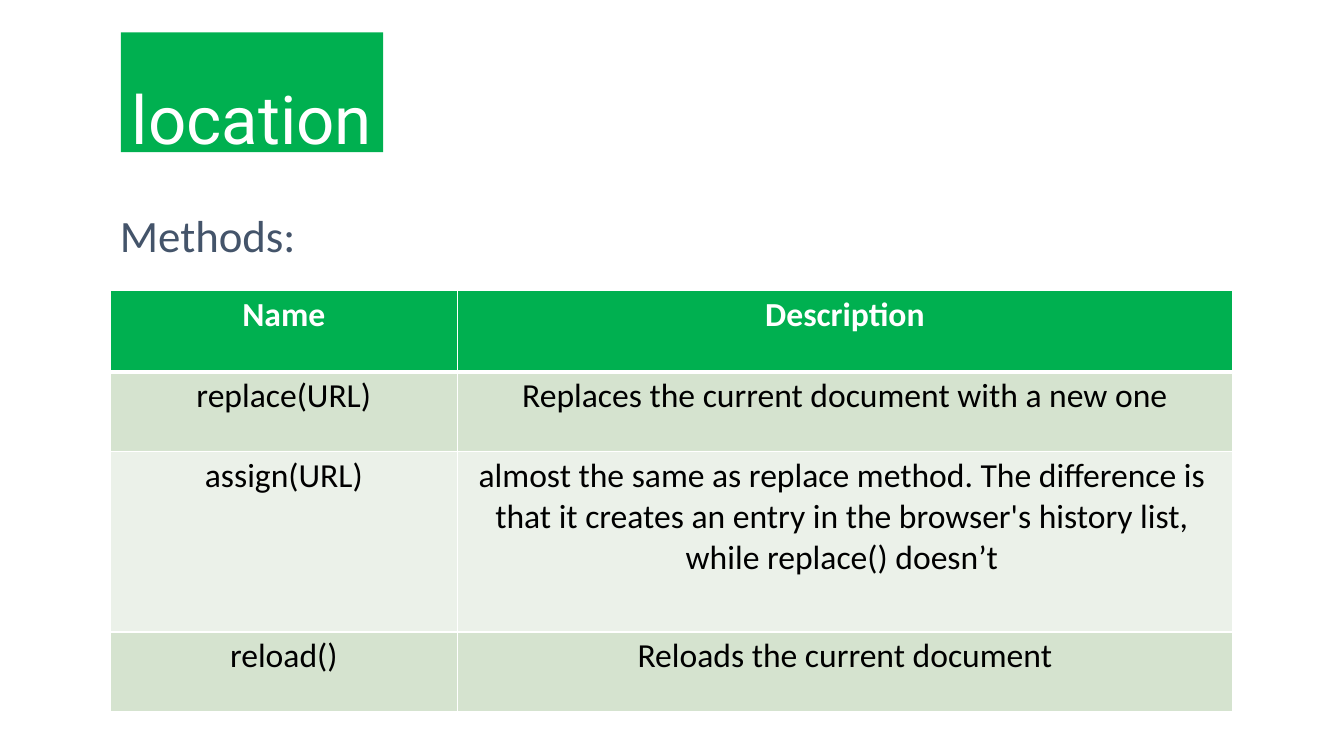
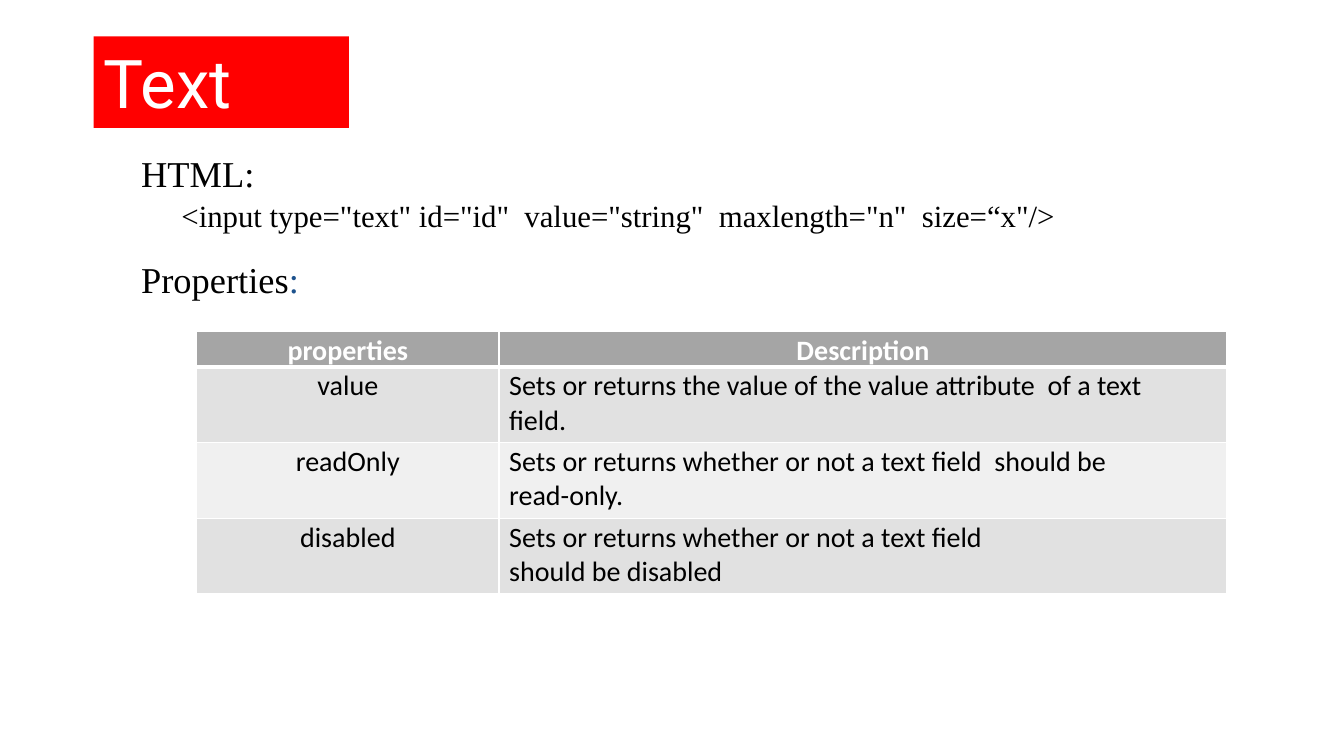
from pptx import Presentation
from pptx.dml.color import RGBColor as RGB
from pptx.enum.shapes import MSO_SHAPE as SHAPE
from pptx.enum.text import MSO_ANCHOR as ANCHOR, PP_ALIGN as ALIGN
from pptx.oxml import parse_xml
from pptx.oxml.ns import nsdecls
from pptx.util import Inches, Pt

COLORS = {
    "white": "FFFFFF", "black": "000000", "slate": "44546A", "blue": "1D528D",
    "green": "00B050", "green_band": "D5E3CF", "green_pale": "EBF1E9",
    "red": "FF0000", "gray": "A5A5A5", "gray_band": "E1E1E1", "gray_pale": "F0F0F0",
}
RGBS = {name: RGB.from_string(value) for name, value in COLORS.items()}
TITLE = {"font": "Roboto", "size": 48, "color": "white"}
BODY = {"font": "Times New Roman", "size": 26, "color": "black", "inset": (0, 0.01)}


def add_text(s, box, text, font, size, color, fill=None, inset=(0.1, 0.05),
             align=ALIGN.LEFT, spacing=1.0):
    """Add a text box, or a filled title band, and return its text frame."""
    box = [Inches(v) for v in box]
    if fill:
        sp = s.shapes.add_shape(SHAPE.RECTANGLE, *box)
        sp.shadow.inherit = False
        sp.fill.solid()
        sp.fill.fore_color.rgb = RGBS[fill]
        sp.line.fill.background()
    else:
        sp = s.shapes.add_textbox(*box)
    tf = sp.text_frame
    tf.word_wrap = not fill
    tf.vertical_anchor = ANCHOR.TOP
    tf.margin_left = tf.margin_right = Inches(inset[0])
    tf.margin_top = tf.margin_bottom = Inches(inset[1])
    tf.text = text
    for p in tf.paragraphs:
        p.alignment, p.line_spacing = align, spacing
        p.space_before = Pt(1.1)
        for r in p.runs:
            r.font.name, r.font.size = font, Pt(size)
            r.font.color.rgb = RGBS[color]
    return tf


def add_grid(s, left, top, widths, heights, rows, hue, size, inset, before):
    """Add a banded table with white rules and return it."""
    table = s.shapes.add_table(len(rows), len(widths), Inches(left), Inches(top),
                               Inches(sum(widths)), Inches(sum(heights))).table
    for column, width in zip(table.columns, widths):
        column.width = Inches(width)
    for i, (row, height) in enumerate(zip(rows, heights)):
        table.rows[i].height = Inches(height)
        fill = hue if i == 0 else hue + ("_band" if i % 2 else "_pale")
        for j, text in enumerate(row):
            cell = table.cell(i, j)
            cell.margin_left = cell.margin_right = cell.margin_bottom = 0
            cell.margin_top = Inches(inset)
            cell.text = text
            for p in cell.text_frame.paragraphs:
                p.alignment, p.space_before = ALIGN.CENTER, Pt(before)
                f = p.runs[0].font
                f.name, f.size, f.bold = "Calibri", Pt(size), i == 0
                f.color.rgb = RGBS["black" if i else "white"]
            tcPr = cell._tc.get_or_add_tcPr()
            for side in "LRTB":
                heavy = (i, side) in ((0, "B"), (1, "T"))
                tcPr.append(parse_xml(
                    f'<a:ln{side} {nsdecls("a")} w="{Pt(3 if heavy else 1)}"><a:solidFill>'
                    f'<a:srgbClr val="{COLORS["white"]}"/></a:solidFill></a:ln{side}>'))
            cell.fill.solid()
            cell.fill.fore_color.rgb = RGBS[fill]
    return table


prs = Presentation()
prs.slide_width, prs.slide_height = Inches(13.33), Inches(7.5)
blank = prs.slide_layouts[6]

# Methods of location
s = prs.slides.add_slide(blank)
add_text(s, (1.2, 0.32, 2.6, 1.19), "location", **TITLE, fill="green",
         align=ALIGN.CENTER, spacing=1.5)
add_text(s, (1.09, 1.75, 11.75, 0.9), "Methods:", "Calibri", 32, "slate", spacing=1.5)
methods = [
    ("Name", "Description"),
    ("replace(URL)", "Replaces the current document with a new one"),
    ("assign(URL)", "almost the same as replace method. The difference is  that it creates "
     "an entry in the browser's history list,  while replace() doesn’t"),
    ("reload()", "Reloads the current document"),
]
table = add_grid(s, 1.09, 2.88, (3.45, 7.68), (0.81, 0.79, 1.79, 0.79), methods,
                 "green", 24, inset=0.04, before=3)
assign = table.cell(2, 1)
assign.margin_left, assign.margin_right = Inches(0.19), Inches(0.25)

# Properties of the text field
s = prs.slides.add_slide(blank)
tf = add_text(s, (1.4, 1.49, 10.77, 0.9),
              'HTML:\n<input type="text" id="id"  value="string"  maxlength="n"  size=“x"/>',
              **BODY)
code = tf.paragraphs[1]
code._p.get_or_add_pPr().set("marL", str(Inches(0.4)))
code.runs[0].font.size = Pt(22)
properties = [
    ("properties", "Description"),
    ("value", "Sets or returns the value of the value attribute  of a text field."),
    ("readOnly", "Sets or returns whether or not a text field  should be read-only."),
    ("disabled", "Sets or returns whether or not a text field\nshould be disabled"),
]
table = add_grid(s, 1.95, 3.29, (3, 7.22), (0.3, 0.75, 0.75, 0.75), properties,
                 "gray", 20, inset=0.02, before=1.5)
for i in range(1, len(properties)):
    cell = table.cell(i, 1)
    cell.margin_left, cell.margin_right = Inches(0.1), Inches(0.7)
    for p in cell.text_frame.paragraphs:
        p.alignment = ALIGN.LEFT
cell.text_frame.paragraphs[1].space_before = Pt(0)
tf = add_text(s, (1.4, 2.54, 2.1, 0.46), "Properties", **BODY)
r = tf.paragraphs[0].add_run()
r.text = ":"
r.font.name, r.font.size = BODY["font"], Pt(BODY["size"])
r.font.color.rgb = RGBS["blue"]
add_text(s, (0.93, 0.36, 2.53, 0.91), "Text", **TITLE, fill="red")

prs.save("out.pptx")
